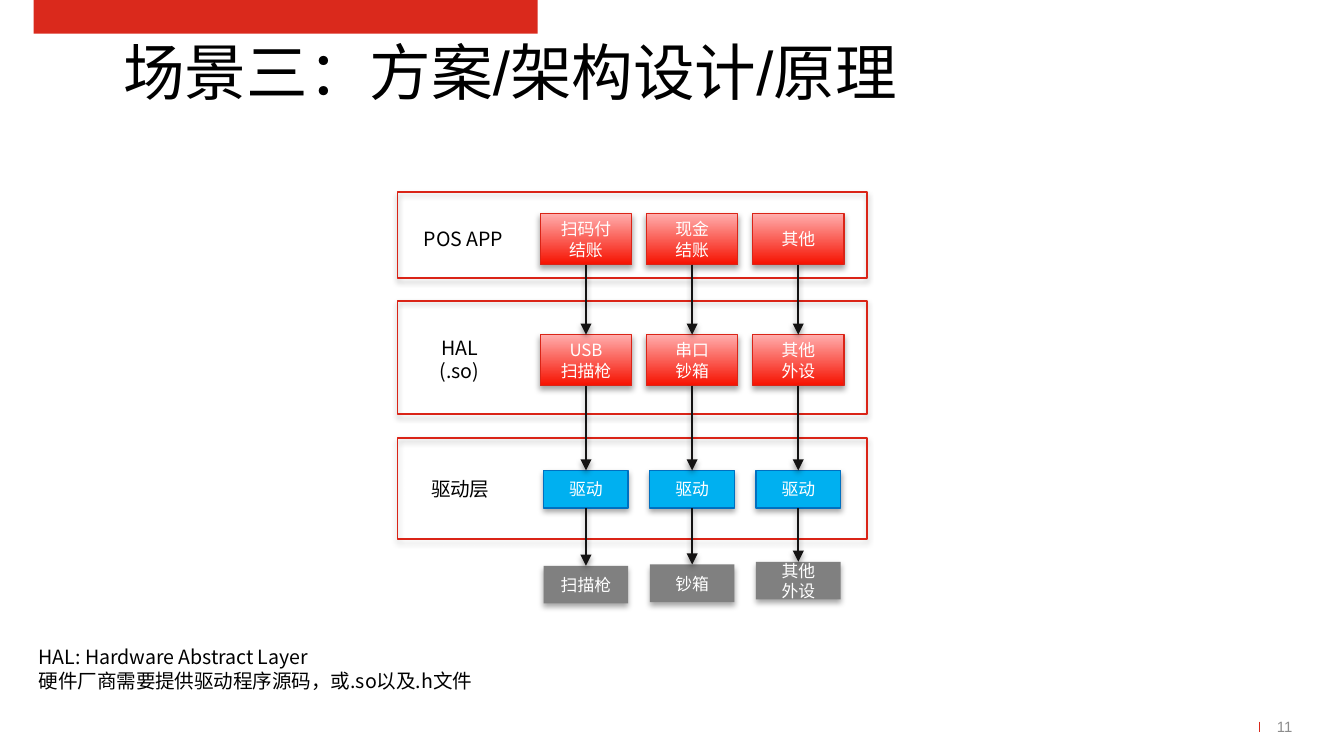
from lxml import etree
from pptx import Presentation
from pptx.dml.color import RGBColor
from pptx.enum.shapes import MSO_CONNECTOR, MSO_SHAPE
from pptx.enum.text import MSO_ANCHOR, MSO_AUTO_SIZE, PP_ALIGN
from pptx.oxml import parse_xml
from pptx.oxml.ns import qn
from pptx.util import Inches, Pt

RECT, STRAIGHT = MSO_SHAPE.RECTANGLE, MSO_CONNECTOR.STRAIGHT
LEFT, CENTER = PP_ALIGN.LEFT, PP_ALIGN.CENTER
TOP, MIDDLE, BOTTOM = MSO_ANCHOR.TOP, MSO_ANCHOR.MIDDLE, MSO_ANCHOR.BOTTOM
CJK = "Noto Sans CJK SC"
COLORS = {
    "banner": "DA291C", "frame": "DA2417", "red": "F61100", "pink": "FFADAC",
    "blue": "00B0F0", "navy": "0070C0", "gray": "808080", "arrow": "141313",
    "number": "8C8C8C", "black": "000000", "white": "FFFFFF",
}
RGB = {name: RGBColor.from_string(value) for name, value in COLORS.items()}


def write(sp, text, size, color, align=LEFT, anchor=TOP, font=CJK):
    tf = sp.text_frame
    tf.text = text
    tf.word_wrap = True
    tf.auto_size = MSO_AUTO_SIZE.NONE
    tf.vertical_anchor = anchor
    for p in tf.paragraphs:
        p.alignment = align
        for r in p.runs:
            r.font.size = Pt(size)
            r.font.name = font
            r.font.color.rgb = RGB[color]
            etree.SubElement(r.font._element, qn("a:ea"), typeface=CJK)


def add_shadow(sp, alpha, dist):
    for old in sp._element.spPr.findall(qn("a:effectLst")):
        sp._element.spPr.remove(old)
    sp._element.spPr.append(parse_xml(
        '<a:effectLst xmlns:a="http://schemas.openxmlformats.org/drawingml/2006/main">'
        f'<a:outerShdw blurRad="{Pt(3.1)}" dist="{Pt(dist)}" dir="5400000" rotWithShape="0">'
        f'<a:srgbClr val="{COLORS["black"]}"><a:alpha val="{alpha * 1000}"/></a:srgbClr>'
        '</a:outerShdw></a:effectLst>'))


prs = Presentation()
prs.slide_width = Inches(10)
prs.slide_height = prs.slide_width * 9 // 16
s = prs.slides.add_slide(prs.slide_layouts[5])

banner = s.shapes.add_shape(RECT, Inches(0.25), 0, Inches(3.75), Inches(0.25))
banner.shadow.inherit = False
banner.fill.solid()
banner.fill.fore_color.rgb = RGB["banner"]
banner.line.fill.background()

title = s.shapes.title
title.left, title.top, title.width, title.height = map(Inches, (0.25, 0.3, 7.09, 0.5))
write(title, "场景三：方案/架构设计/原理", 33, "black", CENTER, BOTTOM, "Arial")
number = s.shapes.add_textbox(*map(Inches, (9.5, 5.28, 0.25, 0.25)))
write(number, "11", 8, "number", LEFT, MIDDLE, "Arial")
for sp in (title, number):
    tf = sp.text_frame
    tf.margin_left = tf.margin_right = tf.margin_top = tf.margin_bottom = 0

tick = s.shapes.add_connector(STRAIGHT, *map(Inches, (9.37, 5.37, 9.37, 5.45)))
tick.line.color.rgb = RGB["banner"]
tick.line.width = Pt(0.5)
etree.SubElement(tick._element.spPr, qn("a:effectLst"))

note = s.shapes.add_textbox(*map(Inches, (0.19, 4.75, 4.29, 0.45)))
write(note, "HAL: Hardware Abstract Layer\n硬件厂商需要提供驱动程序源码，或.so以及.h文件", 10.5, "black")

LAYERS = [
    ("POS APP", 1.43, 0.64, 3, 1.64, 0.9, 0.28),
    ("HAL (.so)", 2.24, 0.84, 3.17, 2.45, 0.5, 0.45),
    ("驱动层", 3.26, 0.75, 3.09, 3.5, 0.67, 0.28),
]
for text, top, height, *label_area in LAYERS:
    frame = s.shapes.add_shape(RECT, *map(Inches, (2.96, top, 3.49, height)))
    frame.fill.background()
    frame.line.color.rgb = RGB["frame"]
    frame.line.width = Pt(0.75)
    add_shadow(frame, 35, 1.8)
    label = s.shapes.add_textbox(*map(Inches, label_area))
    write(label, text, 10.5, "black", CENTER)

COL_X, COL_STEP = 4.36, 0.79
ROWS = [
    (["扫码付结账", "现金\n结账", "其他"], [1.59] * 3, 0.68, 0.38, "red", "frame"),
    (["USB\n扫描枪", "串口\n钞箱", "其他\n外设"], [2.49] * 3, 0.68, 0.38, "red", "frame"),
    (["驱动"] * 3, [3.5] * 3, 0.63, 0.28, "blue", "navy"),
    (["扫描枪", "钞箱", "其他\n外设"], [4.21, 4.2, 4.18], 0.63, 0.28, "gray", None),
]
for texts, tops, width, height, fill, outline in ROWS:
    for i, (text, top) in enumerate(zip(texts, tops)):
        left = COL_X + i * COL_STEP - width / 2
        box = s.shapes.add_shape(RECT, *map(Inches, (left, top, width, height)))
        if fill == "red":
            box.fill.gradient()
            box.fill.gradient_angle = 90
            for stop, color, position in zip(box.fill.gradient_stops, ("red", "pink"), (0, 1)):
                stop.color.rgb = RGB[color]
                stop.position = position
        else:
            box.fill.solid()
            box.fill.fore_color.rgb = RGB[fill]
        if outline:
            box.line.color.rgb = RGB[outline]
            box.line.width = Pt(0.75)
        else:
            box.line.fill.background()
        add_shadow(box, 35, 1.8)
        write(box, text, 9, "white", CENTER, MIDDLE)

for upper, lower in zip(ROWS, ROWS[1:]):
    for i, (start, end) in enumerate(zip(upper[1], lower[1])):
        x = COL_X + i * COL_STEP
        arrow = s.shapes.add_connector(STRAIGHT, *map(Inches, (x, start + upper[3], x, end)))
        arrow.line.color.rgb = RGB["arrow"]
        arrow.line.width = Pt(1)
        etree.SubElement(arrow.line._get_or_add_ln(), qn("a:tailEnd"), type="triangle")
        add_shadow(arrow, 38, 1.6)

prs.save("out.pptx")
